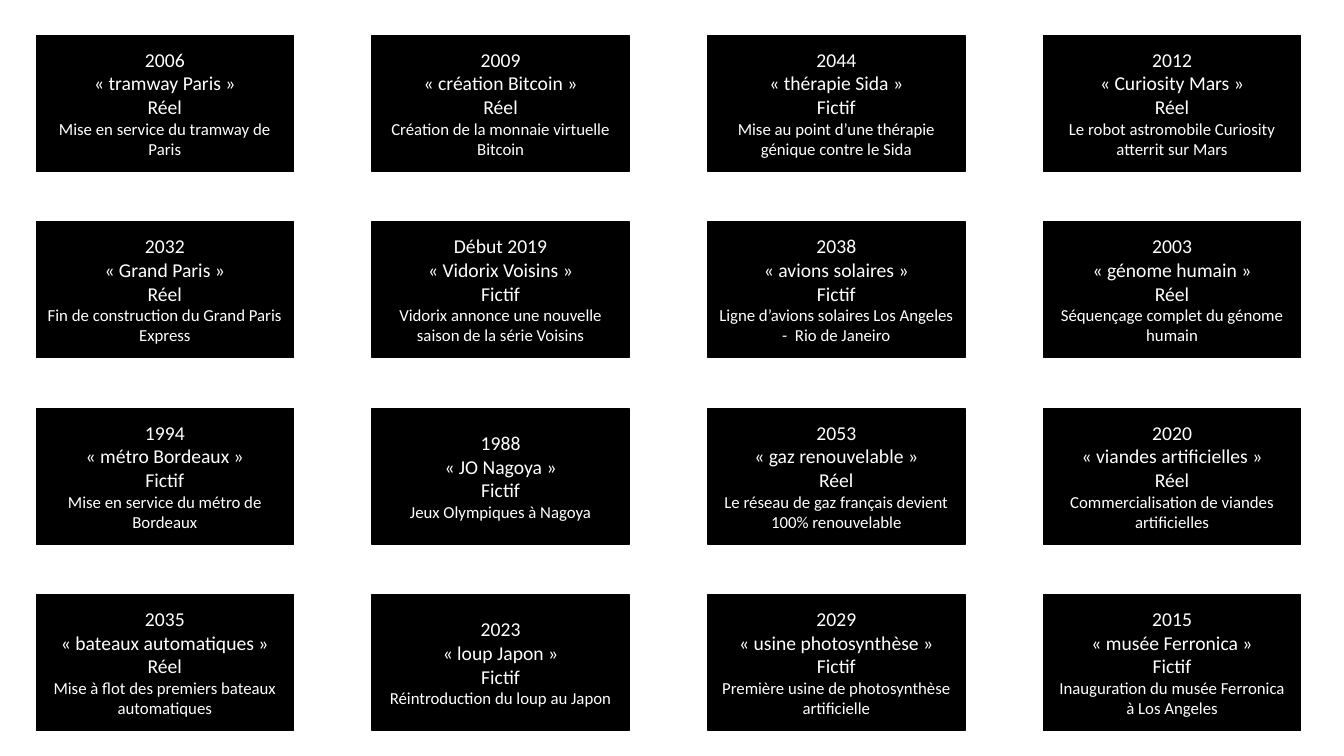
import dataclasses

import pptx
import pptx.dml.color
import pptx.enum.shapes
import pptx.enum.text
import pptx.slide
import pptx.util

BLACK = pptx.dml.color.RGBColor(0x00, 0x00, 0x00)
WHITE = pptx.dml.color.RGBColor(0xFF, 0xFF, 0xFF)
FONT = "Calibri"
PX = 9144
LEFT, TOP = 36, 35
WIDTH, HEIGHT = 255, 135
STEP_X, STEP_Y = 333, 185
COLS = 4
SIZES = (14, 14, 14, 12)


@dataclasses.dataclass
class Card:
    date: str
    name: str
    kind: str
    event: str


CARDS = [
    Card("2006", "tramway Paris", "Réel", "Mise en service du tramway de Paris"),
    Card("2009", "création Bitcoin", "Réel", "Création de la monnaie virtuelle Bitcoin"),
    Card("2044", "thérapie Sida", "Fictif", "Mise au point d’une thérapie génique contre le Sida"),
    Card("2012", "Curiosity Mars", "Réel", "Le robot astromobile Curiosity atterrit sur Mars"),
    Card("2032", "Grand Paris", "Réel", "Fin de construction du Grand Paris Express"),
    Card("Début 2019", "Vidorix Voisins", "Fictif", "Vidorix annonce une nouvelle saison de la série Voisins"),
    Card("2038", "avions solaires", "Fictif", "Ligne d’avions solaires Los Angeles -  Rio de Janeiro"),
    Card("2003", "génome humain", "Réel", "Séquençage complet du génome humain"),
    Card("1994", "métro Bordeaux", "Fictif", "Mise en service du métro de Bordeaux"),
    Card("1988", "JO Nagoya", "Fictif", "Jeux Olympiques à Nagoya"),
    Card("2053", "gaz renouvelable", "Réel", "Le réseau de gaz français devient 100% renouvelable"),
    Card("2020", "viandes artificielles", "Réel", "Commercialisation de viandes artificielles"),
    Card("2035", "bateaux automatiques", "Réel", "Mise à flot des premiers bateaux automatiques"),
    Card("2023", "loup Japon", "Fictif", "Réintroduction du loup au Japon"),
    Card("2029", "usine photosynthèse", "Fictif", "Première usine de photosynthèse artificielle"),
    Card("2015", "musée Ferronica", "Fictif", "Inauguration du musée Ferronica à Los Angeles"),
]


def draw_card(slide: pptx.slide.Slide, card: Card, left: int, top: int) -> None:
    """Draw one event card with its corner at left, top in px."""
    box = slide.shapes.add_shape(
        pptx.enum.shapes.MSO_SHAPE.RECTANGLE,
        left * PX, top * PX, WIDTH * PX, HEIGHT * PX,
    )
    box.shadow.inherit = False
    box.fill.solid()
    box.fill.fore_color.rgb = BLACK
    box.line.color.rgb = BLACK
    box.line.width = pptx.util.Pt(1)
    frame = box.text_frame
    frame.word_wrap = True
    frame.vertical_anchor = pptx.enum.text.MSO_ANCHOR.MIDDLE
    frame.text = "\n".join((card.date, f"« {card.name} »", card.kind, card.event))
    for para, size in zip(frame.paragraphs, SIZES):
        para.alignment = pptx.enum.text.PP_ALIGN.CENTER
        for run in para.runs:
            run.font.name = FONT
            run.font.size = pptx.util.Pt(size)
            run.font.color.rgb = WHITE


def main() -> None:
    """Build the slide of event cards and save it."""
    deck = pptx.Presentation()
    deck.slide_width = 1333 * PX
    deck.slide_height = 750 * PX
    slide = deck.slides.add_slide(deck.slide_layouts[6])
    for index, card in enumerate(CARDS):
        row, col = divmod(index, COLS)
        draw_card(slide, card, LEFT + col * STEP_X, TOP + row * STEP_Y)
    deck.save("out.pptx")


if __name__ == "__main__":
    main()
